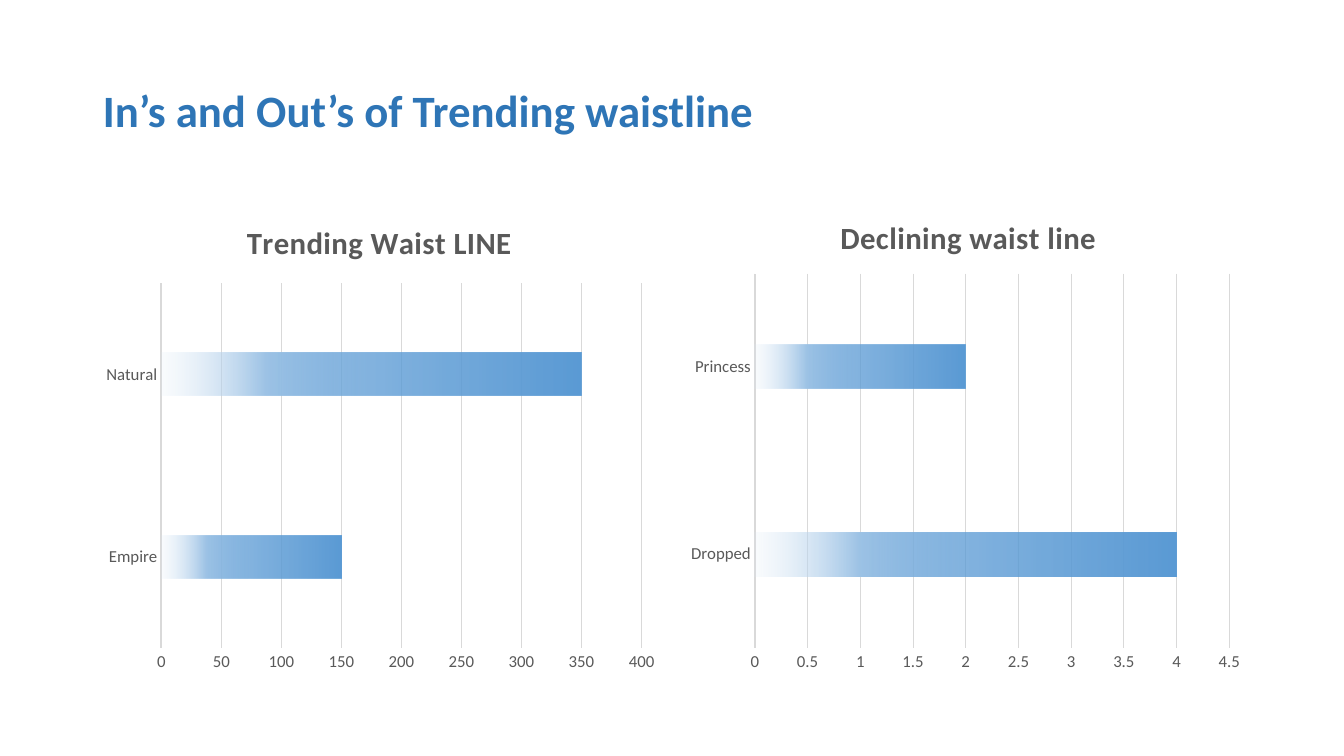
from dataclasses import dataclass

from pptx import Presentation
from pptx.chart.data import CategoryChartData
from pptx.dml.color import RGBColor
from pptx.enum.chart import XL_CHART_TYPE, XL_TICK_MARK
from pptx.enum.text import MSO_ANCHOR, PP_ALIGN
from pptx.oxml import parse_xml
from pptx.oxml.ns import nsdecls, qn
from pptx.util import Inches, Pt

BAR = XL_CHART_TYPE.BAR_CLUSTERED
NO_TICKS = XL_TICK_MARK.NONE
MIDDLE = MSO_ANCHOR.MIDDLE
LEFT = PP_ALIGN.LEFT


@dataclass(frozen=True)
class Theme:
    font: str = "Calibri"
    heading: RGBColor = RGBColor.from_string("2E75B6")
    text: RGBColor = RGBColor.from_string("595959")
    rule: RGBColor = RGBColor.from_string("D9D9D9")
    heading_size: Pt = Pt(32)
    chart_title_size: Pt = Pt(22)
    label_size: Pt = Pt(12)
    # position %, colour, opacity %
    bar_stops: tuple = ((0, "5B9BD5", 100), (51, "5B9BD5", 75),
                        (75, "9DC3E6", 100), (100, "DEEBF7", 15))


THEME = Theme()
MARGIN, COLUMN, GUTTER = 0.92, 5.67, 0.16
TITLE_TOP, TITLE_HEIGHT = 0.4, 1.45
CHART_TOP, CHART_HEIGHT = 2, 4.76

# Title and plot frames are shares of the chart: x, y and, for plots, w, h.
CHARTS = (
    {"title": "Trending Waist LINE", "values": {"Empire": 150, "Natural": 350},
     "title_frame": (0.26, 0.03), "plot_frame": (0.12, 0.17, 0.84, 0.76)},
    {"title": "Declining waist line", "values": {"Dropped": 4, "Princess": 2},
     "title_frame": (0.27, 0.02), "plot_frame": (0.13, 0.15, 0.83, 0.78)},
)


def style_font(font, size, color, bold=False):
    font.name = THEME.font
    font.size = size
    font.bold = bold
    font.color.rgb = color


def set_layout(parent, before, frame, inner=False):
    """Fix the place of a chart part, putting its layout ahead of the given tag."""
    for old in parent.findall(qn("c:layout")):
        parent.remove(old)
    target = '<c:layoutTarget val="inner"/>' if inner else ""
    modes = '<c:xMode val="edge"/><c:yMode val="edge"/>'
    shares = "".join(f'<c:{name} val="{share}"/>' for name, share in zip("xywh", frame))
    layout = parse_xml(f'<c:layout {nsdecls("c")}><c:manualLayout>{target}{modes}'
                       f'{shares}</c:manualLayout></c:layout>')
    parent.find(qn(before)).addprevious(layout)


def fade_bars(series):
    """Fill the bars with the theme's gradient, solid at the right end."""
    series.format.fill.gradient()
    gradient = series.format.fill._xPr.find(qn("a:gradFill"))
    stops = "".join(
        f'<a:gs pos="{position * 1000}"><a:srgbClr val="{color}">'
        f'<a:alpha val="{opacity * 1000}"/></a:srgbClr></a:gs>'
        for position, color, opacity in THEME.bar_stops)
    faded = parse_xml(f'<a:gradFill {nsdecls("a")} rotWithShape="1"><a:gsLst>{stops}'
                      '</a:gsLst><a:lin ang="10800000" scaled="0"/></a:gradFill>')
    gradient.getparent().replace(gradient, faded)


def style_axes(chart):
    for axis in (chart.category_axis, chart.value_axis):
        axis.major_tick_mark = axis.minor_tick_mark = NO_TICKS
        style_font(axis.tick_labels.font, THEME.label_size, THEME.text)
    chart.value_axis.format.line.fill.background()
    chart.value_axis.has_major_gridlines = True
    for ruled, width in ((chart.category_axis, 1.5),
                         (chart.value_axis.major_gridlines, 0.75)):
        ruled.format.line.color.rgb = THEME.rule
        ruled.format.line.width = Pt(width)


def add_title(page, box, text):
    title = page.shapes.title
    title.left, title.top, title.width, title.height = box
    frame = title.text_frame
    frame.text = text
    frame.vertical_anchor = MIDDLE
    para = frame.paragraphs[0]
    para.alignment = LEFT
    para.line_spacing = 0.9
    style_font(para.font, THEME.heading_size, THEME.heading, bold=True)


def add_waistline_chart(page, box, title, values, title_frame, plot_frame):
    data = CategoryChartData()
    data.categories = list(values)
    data.add_series("Series 1", list(values.values()))
    chart = page.shapes.add_chart(BAR, *box, data).chart
    style_font(chart.font, THEME.label_size, THEME.text)
    chart.has_legend = False

    chart.has_title = True
    chart.chart_title.include_in_layout = False
    para = chart.chart_title.text_frame.paragraphs[0]
    para.text = title
    style_font(para.font, THEME.chart_title_size, THEME.text, bold=True)
    para.font._element.set("spc", "40")
    set_layout(chart.chart_title._element, "c:overlay", title_frame)

    plot = chart.plots[0]
    plot.gap_width = 326
    plot.overlap = -58
    plot.vary_by_categories = False
    fade_bars(plot.series[0])
    style_axes(chart)
    set_layout(plot._element.getparent(), "c:barChart", plot_frame, inner=True)


def main():
    deck = Presentation()
    deck.slide_width, deck.slide_height = Inches(13.33), Inches(7.5)
    page = deck.slides.add_slide(deck.slide_layouts[5])
    title_box = (MARGIN, TITLE_TOP, 2 * COLUMN + GUTTER, TITLE_HEIGHT)
    add_title(page, map(Inches, title_box), "In’s and Out’s of Trending waistline")
    for column, content in enumerate(CHARTS):
        left = MARGIN + column * (COLUMN + GUTTER)
        chart_box = (left, CHART_TOP, COLUMN, CHART_HEIGHT)
        add_waistline_chart(page, map(Inches, chart_box), **content)
    deck.save("out.pptx")


if __name__ == "__main__":
    main()
